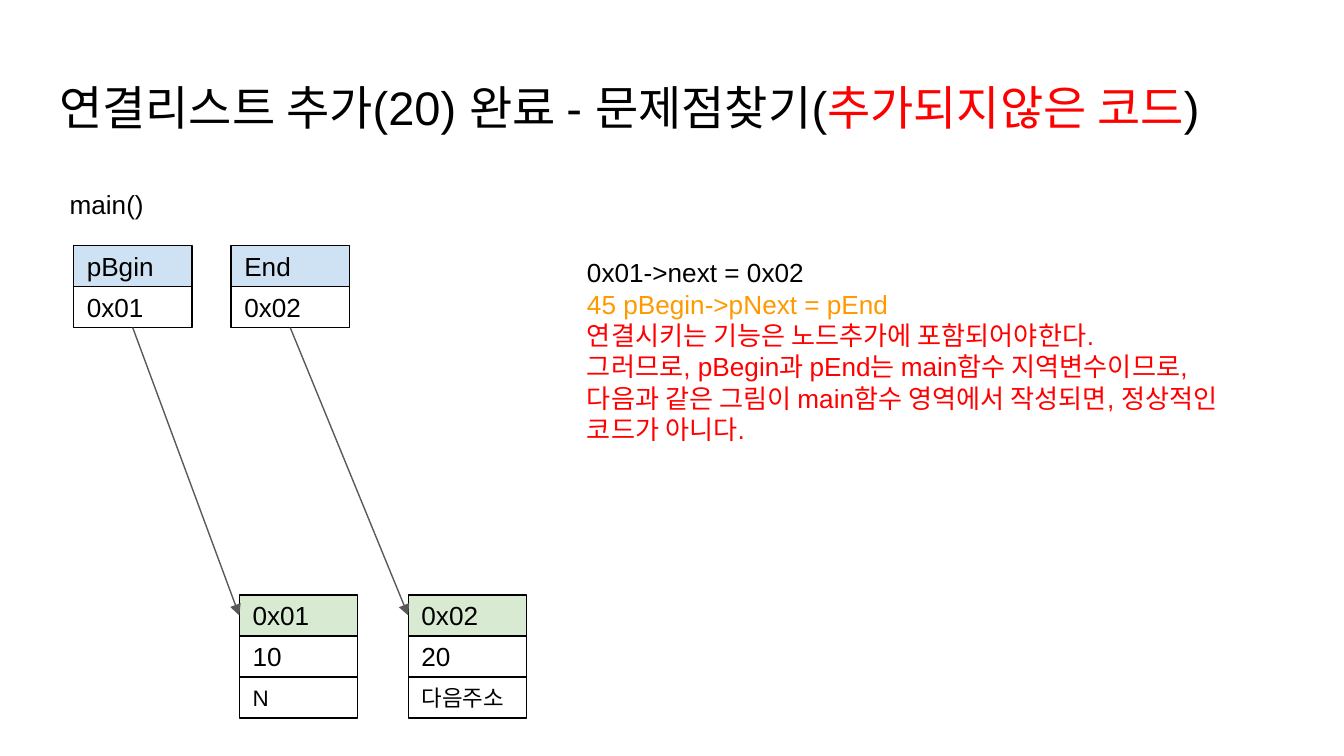
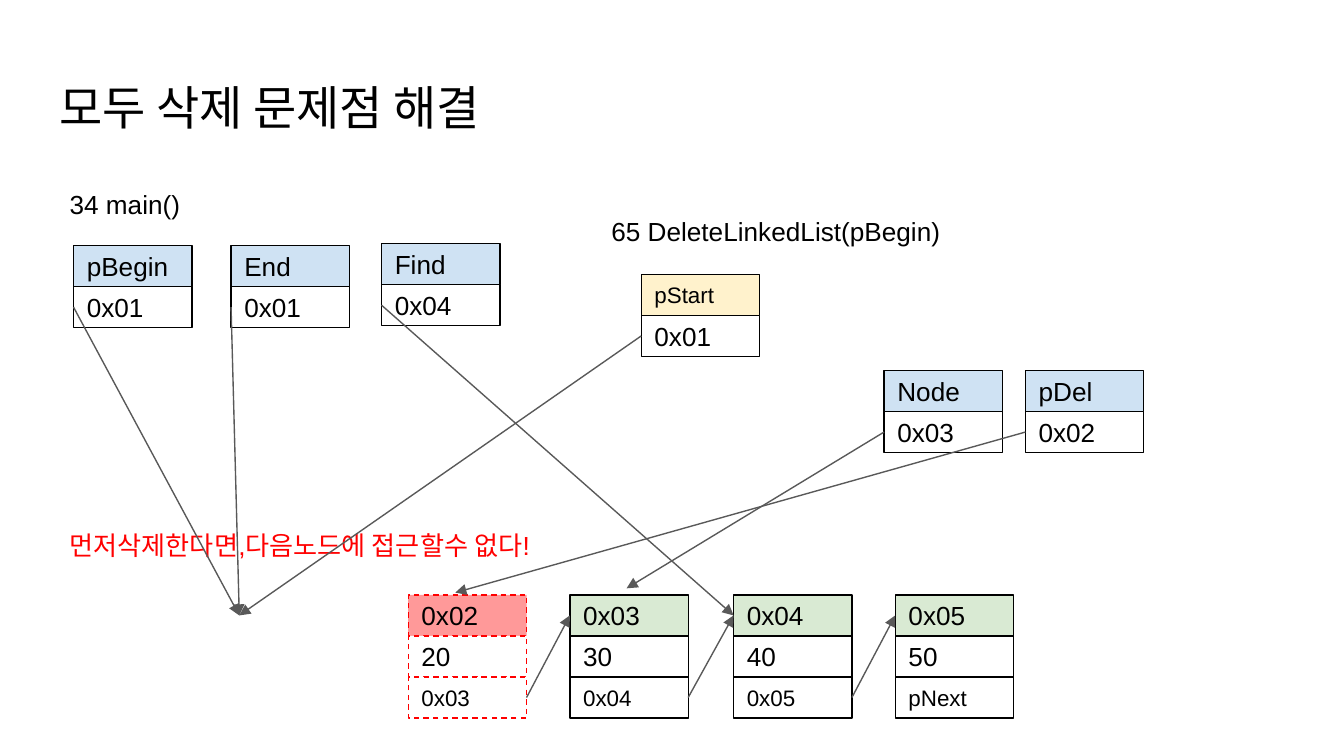
"""Build two slides that explain linked list insertion and deletion."""
from lxml import etree
from pptx import Presentation
from pptx.dml.color import RGBColor
from pptx.enum.dml import MSO_LINE
from pptx.enum.shapes import MSO_CONNECTOR, MSO_SHAPE
from pptx.enum.text import MSO_ANCHOR, MSO_AUTO_SIZE, PP_ALIGN
from pptx.oxml.ns import qn
from pptx.util import Pt

RECTANGLE = MSO_SHAPE.RECTANGLE
STRAIGHT = MSO_CONNECTOR.STRAIGHT
DASH = MSO_LINE.DASH
TOP, MIDDLE = MSO_ANCHOR.TOP, MSO_ANCHOR.MIDDLE
FIT_SHAPE, NO_FIT = MSO_AUTO_SIZE.SHAPE_TO_FIT_TEXT, MSO_AUTO_SIZE.NONE
LEFT_ALIGN = PP_ALIGN.LEFT

BLACK = RGBColor(0x00, 0x00, 0x00)
WHITE = RGBColor(0xFF, 0xFF, 0xFF)
RED = RGBColor(0xFF, 0x00, 0x00)
ORANGE = RGBColor(0xFF, 0x99, 0x00)
GRAY = RGBColor(0x59, 0x59, 0x59)
BLUE = RGBColor(0xCF, 0xE2, 0xF3)
GREEN = RGBColor(0xD9, 0xEA, 0xD3)
YELLOW = RGBColor(0xFF, 0xF2, 0xCC)
PINK = RGBColor(0xFF, 0x99, 0x99)

FONT = "Arial"
TITLE_SIZE, TEXT_SIZE, SMALL_SIZE = 25.2, 14, 12
INSET = Pt(7.2)
CELL_WIDTH, CELL_HEIGHT = 63.4, 22
LINE_WIDTH = Pt(0.75)
POINTER_TOP, LIST_TOP = 131.5, 318.7
AT_LEFT, AT_BOTTOM, AT_RIGHT = 1, 2, 3
DELETED_NODE = (128.2, 329.7)

SLIDES = [
    {
        "title": [("연결리스트 추가(20) 완료 - 문제점찾기(", BLACK), ("추가되지않은 코드", RED), (")", BLACK)],
        "title_width": 687.6,
        "texts": [
            (30.2, 93.6, 395.3, 31.7, [[("main()", BLACK)]]),
            (307.4, 130.3, 367.2, 116.6, [
                [("0x01->next = 0x02", BLACK)],
                [("45 pBegin->pNext = pEnd", ORANGE)],
                [("연결시키는 기능은 노드추가에 포함되어야한다.", RED)],
                [("그러므로, pBegin과 pEnd는 main함수 지역변수이므로,\n"
                  "다음과 같은 그림이 main함수 영역에서 작성되면, 정상적인 코드가 아니다.", RED)],
            ]),
        ],
        "nodes": [
            (39.4, POINTER_TOP, BLUE, ["pBgin", "0x01"]),
            (123.8, POINTER_TOP, BLUE, ["End", "0x02"]),
            (128.2, LIST_TOP, GREEN, ["0x01", "10", "N"]),
            (218.7, LIST_TOP, GREEN, ["0x02", "20", "다음주소"]),
        ],
        "arrows": [(0, AT_BOTTOM, 2), (1, AT_BOTTOM, 3)],
    },
    {
        "title": [("모두 삭제 문제점 해결", BLACK)],
        "title_width": 671,
        "texts": [
            (30.2, 93.6, 395.3, 31.7, [[("34 main()", BLACK)]]),
            (320.4, 108, 289.4, 31.7, [[("65 DeleteLinkedList(pBegin)", BLACK)]]),
            (30.2, 276.5, 321.8, 31.7, [[("먼저삭제한다면,다음노드에 접근할수 없다!", RED)]]),
        ],
        "nodes": [
            (39.4, POINTER_TOP, BLUE, ["pBegin", "0x01"]),
            (123.8, POINTER_TOP, BLUE, ["End", "0x01"]),
            (204.4, 130.5, BLUE, ["Find", "0x04"]),
            (343.5, 147, YELLOW, ["pStart", "0x01"]),
            (473.6, 198.5, BLUE, ["Node", "0x03"]),
            (549.3, 198.5, BLUE, ["pDel", "0x02"]),
            (218.7, LIST_TOP, PINK, ["0x02", "20", "0x03"]),
            (305.3, LIST_TOP, GREEN, ["0x03", "30", "0x04"]),
            (393, LIST_TOP, GREEN, ["0x04", "40", "0x05"]),
            (479.6, LIST_TOP, GREEN, ["0x05", "50", "pNext"]),
        ],
        "arrows": [
            (0, AT_LEFT, DELETED_NODE), (1, AT_LEFT, DELETED_NODE),
            (2, AT_LEFT, 8), (3, AT_LEFT, DELETED_NODE),
            (4, AT_LEFT, (335.7, 315.2)), (5, AT_LEFT, (243.9, 317.5)),
            (6, AT_RIGHT, 7), (7, AT_RIGHT, 8), (8, AT_RIGHT, 9),
        ],
    },
]


def write_text(frame, paragraphs, size, anchor=TOP, fit=NO_FIT):
    frame.word_wrap = True
    frame.auto_size = fit
    frame.vertical_anchor = anchor
    frame.margin_left = frame.margin_right = frame.margin_top = frame.margin_bottom = INSET
    for number, spans in enumerate(paragraphs):
        para = frame.add_paragraph() if number else frame.paragraphs[0]
        para.alignment = LEFT_ALIGN
        for text, color in spans:
            for line_number, line in enumerate(text.split("\n")):
                if line_number:
                    para.add_line_break()
                span = para.add_run()
                span.text = line
                span.font.name = FONT
                span.font.size = Pt(size)
                span.font.color.rgb = color


def add_node(page, left, top, header_fill, labels):
    group = page.shapes.add_group_shape()
    cells = []
    for row, label in enumerate(labels):
        cell = group.shapes.add_shape(
            RECTANGLE, Pt(left), Pt(top + row * CELL_HEIGHT), Pt(CELL_WIDTH), Pt(CELL_HEIGHT))
        cell.shadow.inherit = False
        cell.fill.solid()
        cell.fill.fore_color.rgb = WHITE if row else header_fill
        cell.line.width = LINE_WIDTH
        cell.line.color.rgb = BLACK
        if header_fill == PINK:
            cell.line.color.rgb = RED
            cell.line.dash_style = DASH
        small = row == 2 or label == "pStart"
        write_text(cell.text_frame, [[(label, BLACK)]], SMALL_SIZE if small else TEXT_SIZE, MIDDLE)
        cells.append(cell)
    return cells


deck = Presentation()
deck.slide_width, deck.slide_height = Pt(720), Pt(405)

for content in SLIDES:
    page = deck.slides.add_slide(deck.slide_layouts[5])
    title = page.shapes.title
    title.left, title.top = Pt(24.5), Pt(35)
    title.width, title.height = Pt(content["title_width"]), Pt(45.1)
    write_text(title.text_frame, [content["title"]], TITLE_SIZE)

    nodes = [add_node(page, *node) for node in content["nodes"]]

    for left, top, width, height, paragraphs in content["texts"]:
        box = page.shapes.add_textbox(Pt(left), Pt(top), Pt(width), Pt(height))
        write_text(box.text_frame, paragraphs, TEXT_SIZE, fit=FIT_SHAPE)

    for source, side, target in content["arrows"]:
        end = (0, 0) if isinstance(target, int) else target
        arrow = page.shapes.add_connector(STRAIGHT, 0, 0, Pt(end[0]), Pt(end[1]))
        arrow.begin_connect(nodes[source][-1], side)
        if isinstance(target, int):
            arrow.end_connect(nodes[target][0], AT_LEFT)
        arrow.line.color.rgb = GRAY
        arrow.line.width = LINE_WIDTH
        etree.SubElement(arrow.line._get_or_add_ln(), qn("a:tailEnd"), type="triangle")
        etree.SubElement(arrow._element.spPr, qn("a:effectLst"))

deck.save("out.pptx")
